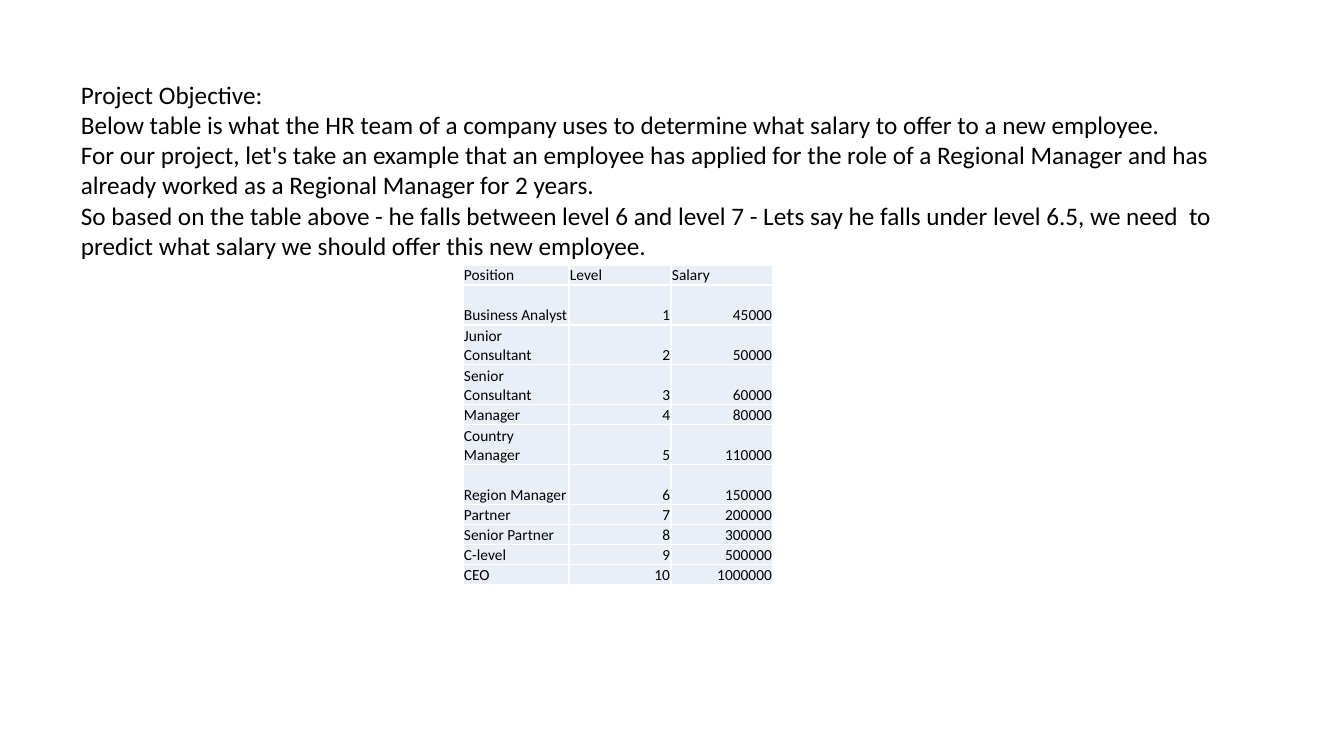
from lxml.etree import SubElement
from pptx import Presentation
from pptx.dml.color import RGBColor
from pptx.enum.text import MSO_ANCHOR, MSO_AUTO_SIZE, PP_ALIGN
from pptx.oxml.ns import qn
from pptx.util import Emu, Pt

EMU_PER_PX = 914400 / 100.8
SLIDE_SIZE = (1344, 756)
OBJECTIVE_BOX = (71, 74, 1219, 194)
SALARY_BOX = (463, 265, 310, 320)
COLUMN_WIDTHS = (106, 102, 102)
LINE_HEIGHT = 20

OBJECTIVE = (
    "Project Objective:",
    "Below table is what the HR team of a company uses to determine what salary to offer to a new employee.",
    "For our project, let's take an example that an employee has applied for the role of a Regional Manager "
    "and has already worked as a Regional Manager for 2 years.",
    "So based on the table above - he falls between level 6 and level 7 - Lets say he falls under level 6.5, "
    "we need  to predict what salary we should offer this new employee.",
)
HEADINGS = ("Position", "Level", "Salary")
SALARIES = (
    ("Business Analyst", 45000),
    ("Junior Consultant", 50000),
    ("Senior Consultant", 60000),
    ("Manager", 80000),
    ("Country Manager", 110000),
    ("Region Manager", 150000),
    ("Partner", 200000),
    ("Senior Partner", 300000),
    ("C-level", 500000),
    ("CEO", 1000000),
)
TALL_POSITIONS = {
    "Business Analyst", "Junior Consultant", "Senior Consultant", "Country Manager", "Region Manager",
}
CELL_FORMAT = {
    "vertical_anchor": MSO_ANCHOR.BOTTOM,
    "margin_left": Pt(0.7),
    "margin_top": Pt(0.7),
    "margin_right": Pt(0.7),
    "margin_bottom": 0,
}
OBJECTIVE_FORMAT = {"word_wrap": True, "auto_size": MSO_AUTO_SIZE.SHAPE_TO_FIT_TEXT}


def px(length):
    """Turn a length in px into EMU."""
    return Emu(round(length * EMU_PER_PX))


def color(value):
    """Turn a hex string into a colour."""
    return RGBColor.from_string(value)


def apply_format(target, values):
    """Set each named attribute on the target."""
    for name, value in values.items():
        setattr(target, name, value)


def write(paragraph, text, size):
    """Write black Calibri text into a paragraph."""
    run = paragraph.add_run()
    run.text = text
    apply_format(run.font, {"name": "Calibri", "size": Pt(size)})
    run.font.color.rgb = color("000000")


def add_borders(cell, value, width):
    """Draw a solid line on all four sides of a cell."""
    properties = cell._tc.get_or_add_tcPr()
    for index, side in enumerate(("a:lnL", "a:lnR", "a:lnT", "a:lnB")):
        line = properties.makeelement(qn(side), {"w": str(Pt(width))})
        fill = SubElement(line, qn("a:solidFill"))
        SubElement(fill, qn("a:srgbClr"), val=value)
        properties.insert(index, line)


def add_objective(slide, box):
    """Place the project objective text in the box."""
    frame = slide.shapes.add_textbox(*map(px, box)).text_frame
    apply_format(frame, OBJECTIVE_FORMAT)
    for index, text in enumerate(OBJECTIVE):
        paragraph = frame.add_paragraph() if index else frame.paragraphs[0]
        write(paragraph, text, 18)


def add_salary_table(slide, box):
    """Place the table of positions, levels and salaries in the box."""
    rows = [HEADINGS]
    rows += [(position, level, salary) for level, (position, salary) in enumerate(SALARIES, 1)]
    table = slide.shapes.add_table(len(rows), len(HEADINGS), *map(px, box)).table
    apply_format(table, {"first_row": False, "horz_banding": False})
    for column, width in zip(table.columns, COLUMN_WIDTHS):
        column.width = px(width)
    for row, values in zip(table.rows, rows):
        row.height = px(LINE_HEIGHT * (2 if values[0] in TALL_POSITIONS else 1))
        for cell, value in zip(row.cells, values):
            apply_format(cell, CELL_FORMAT)
            cell.fill.solid()
            cell.fill.fore_color.rgb = color("EAEFF7")
            add_borders(cell, "FFFFFF", 1)
            paragraph = cell.text_frame.paragraphs[0]
            paragraph.alignment = PP_ALIGN.RIGHT if isinstance(value, int) else PP_ALIGN.LEFT
            write(paragraph, str(value), 11)


def main():
    """Build the slide and save it."""
    presentation = Presentation()
    presentation.slide_width, presentation.slide_height = map(px, SLIDE_SIZE)
    slide = presentation.slides.add_slide(presentation.slide_layouts[6])
    add_objective(slide, OBJECTIVE_BOX)
    add_salary_table(slide, SALARY_BOX)
    presentation.save("out.pptx")


if __name__ == "__main__":
    main()
